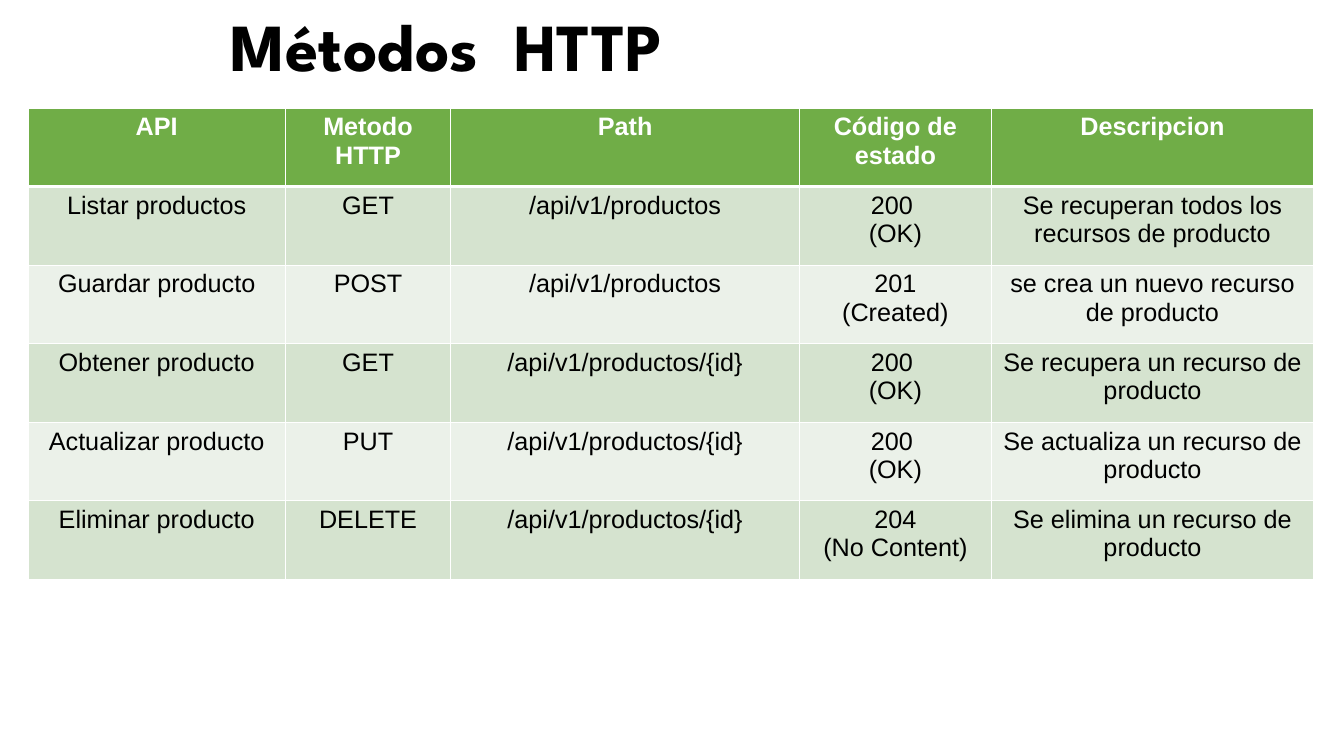
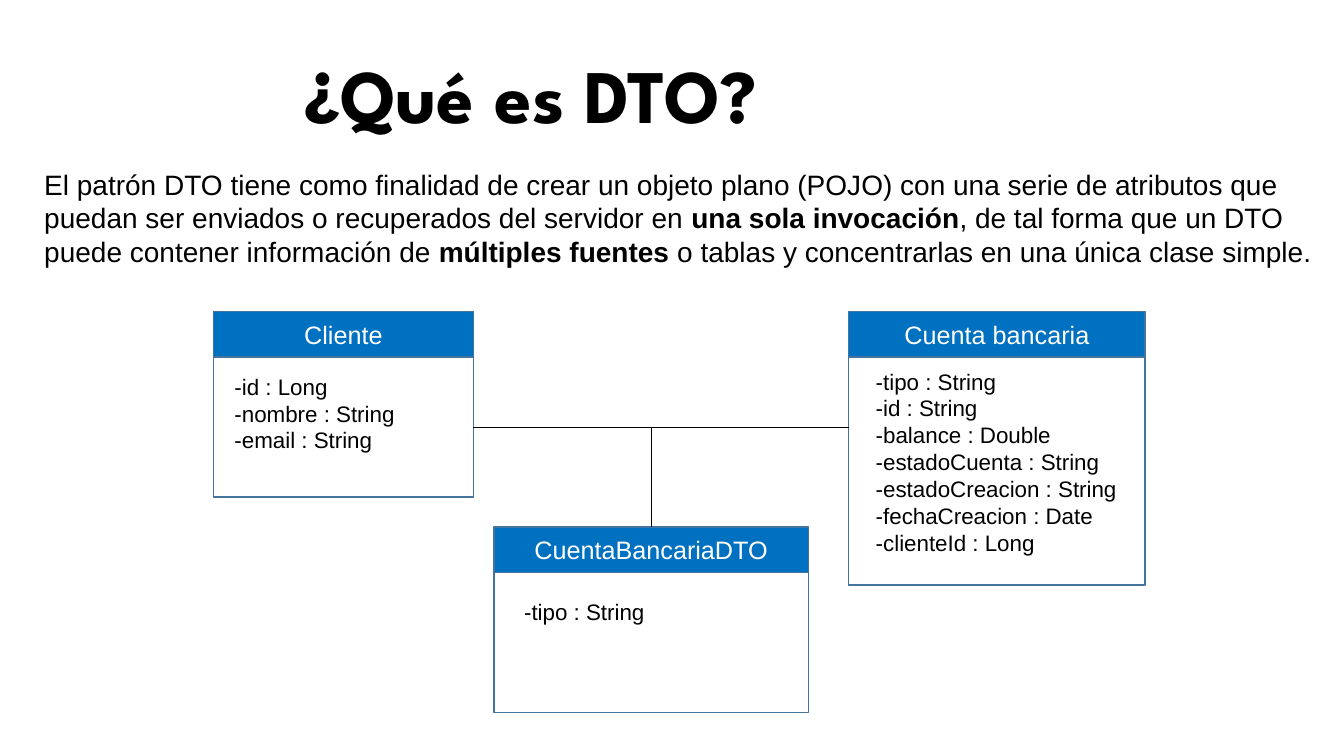
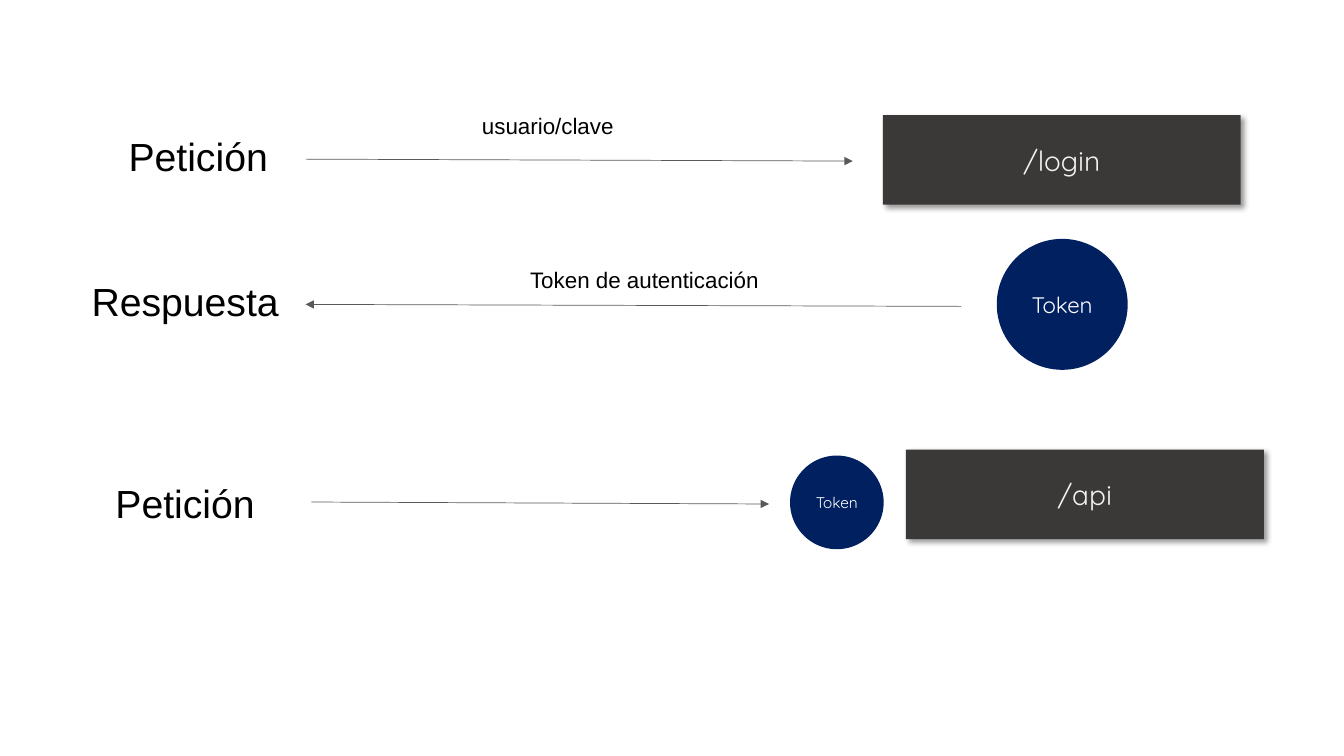
from lxml import etree
from pptx import Presentation
from pptx.dml.color import RGBColor
from pptx.enum.shapes import MSO_CONNECTOR, MSO_SHAPE
from pptx.enum.text import MSO_ANCHOR, MSO_AUTO_SIZE, PP_ALIGN
from pptx.oxml import parse_xml
from pptx.oxml.ns import nsdecls, qn
from pptx.util import Cm, Pt

RECT, OVAL = MSO_SHAPE.RECTANGLE, MSO_SHAPE.OVAL
STRAIGHT = MSO_CONNECTOR.STRAIGHT
TOP, MIDDLE = MSO_ANCHOR.TOP, MSO_ANCHOR.MIDDLE
LEFT, CENTER = PP_ALIGN.LEFT, PP_ALIGN.CENTER
FIXED = MSO_AUTO_SIZE.NONE

BLACK = RGBColor(0x00, 0x00, 0x00)
WHITE = RGBColor(0xFF, 0xFF, 0xFF)
PALE = RGBColor(0xF2, 0xF2, 0xF2)
GREEN = RGBColor(0x70, 0xAD, 0x47)
MINT = RGBColor(0xD5, 0xE3, 0xCF)
MIST = RGBColor(0xEB, 0xF1, 0xE9)
BLUE = RGBColor(0x00, 0x70, 0xC0)
STEEL = RGBColor(0x43, 0x73, 0x9E)
NAVY = RGBColor(0x00, 0x20, 0x60)
DARK = RGBColor(0x3B, 0x38, 0x38)
GRAY = RGBColor(0x59, 0x59, 0x59)
HEAD, BODY, ROUND = "League Spartan", "Arial", "Quicksand"


def put(slide, box, text="", size=16, color=BLACK, font=BODY, align=CENTER,
        kind=None, fill=None, line=None):
    place = [Cm(n) for n in box]
    if kind is None:
        shape = slide.shapes.add_textbox(*place)
    else:
        shape = slide.shapes.add_shape(kind, *place)
        shape.shadow.inherit = False
        if fill is None:
            shape.fill.background()
        else:
            shape.fill.solid()
            shape.fill.fore_color.rgb = fill
        if line is None:
            shape.line.fill.background()
        else:
            shape.line.color.rgb = line
            shape.line.width = Pt(1)
    frame = shape.text_frame
    frame.word_wrap = True
    frame.vertical_anchor = TOP if kind is None else MIDDLE
    frame.text = text
    for para in frame.paragraphs:
        para.alignment = align
        para.font.size = Pt(size)
        para.font.name = font
        para.font.color.rgb = color
    return shape


def link(slide, ends, color, arrow=False):
    wire = slide.shapes.add_connector(STRAIGHT, *[Cm(n) for n in ends])
    wire.line.color.rgb = color
    wire.line.width = Pt(0.5)
    if arrow:
        etree.SubElement(wire.line._get_or_add_ln(), qn("a:tailEnd"), type="triangle")
    etree.SubElement(wire._element.spPr, qn("a:effectLst"))


deck = Presentation()
deck.slide_width, deck.slide_height = Cm(33.87), Cm(19.05)

pages = []
for layout, text, size, box in (
    (5, "Métodos  HTTP", 48, (-3.73, -0.03, 29.97, 2.31)),
    (1, "¿Qué es DTO?", 54, (-2.46, 1.09, 31.67, 2.57)),
    (6, None, None, None),
):
    slide = deck.slides.add_slide(deck.slide_layouts[layout])
    pages.append(slide)
    if text:
        title = slide.shapes.title
        title.left, title.top, title.width, title.height = [Cm(n) for n in box]
        frame = title.text_frame
        frame.text = text
        frame.auto_size = FIXED
        frame.vertical_anchor = TOP
        para = frame.paragraphs[0]
        para.alignment = CENTER
        para.font.size = Pt(size)
        para.font.name = HEAD
        para.font.bold = True
        para.font.color.rgb = BLACK
verbs, dto, login = pages

rows = (
    ("API", "Metodo HTTP", "Path", "Código de estado", "Descripcion"),
    ("Listar productos", "GET", "/api/v1/productos", "200 \n(OK)",
     "Se recuperan todos los recursos de producto"),
    ("Guardar producto", "POST", "/api/v1/productos", "201\n(Created)",
     "se crea un nuevo recurso de producto"),
    ("Obtener producto", "GET", "/api/v1/productos/{id}", "200 \n(OK)",
     "Se recupera un recurso de producto"),
    ("Actualizar producto", "PUT", "/api/v1/productos/{id}", "200 \n(OK)",
     "Se actualiza un recurso de producto"),
    ("Eliminar producto", "DELETE", "/api/v1/productos/{id}", "204\n(No Content)",
     "Se elimina un recurso de producto"),
)
widths = (6.48, 4.17, 8.79, 4.83, 8.13)
tall = 1.98
grid = verbs.shapes.add_table(len(rows), len(widths), Cm(0.71), Cm(2.72),
                              Cm(sum(widths)), Cm(tall * len(rows))).table
for col, width in zip(grid.columns, widths):
    col.width = Cm(width)
for r, row in enumerate(rows):
    grid.rows[r].height = Cm(tall)
    thick = {0: "lnB", 1: "lnT"}.get(r)
    for c, text in enumerate(row):
        cell = grid.cell(r, c)
        props = cell._tc.get_or_add_tcPr()
        for side in ("lnL", "lnR", "lnT", "lnB"):
            width = Pt(3 if side == thick else 1)
            props.append(parse_xml(
                f'<a:{side} {nsdecls("a")} w="{width}"><a:solidFill>'
                f'<a:srgbClr val="{WHITE}"/></a:solidFill></a:{side}>'))
        cell.fill.solid()
        cell.fill.fore_color.rgb = GREEN if r == 0 else MINT if r % 2 else MIST
        cell.text = text
        for para in cell.text_frame.paragraphs:
            para.alignment = CENTER
            para.font.size = Pt(18)
            para.font.name = BODY
            para.font.bold = r == 0
            para.font.color.rgb = WHITE if r == 0 else BLACK

intro = dto.placeholders[1]
intro.left, intro.top, intro.width, intro.height = Cm(0.86), Cm(4.09), Cm(32.69), Cm(2.82)
intro.text_frame.auto_size = FIXED
para = intro.text_frame.paragraphs[0]
para.space_before = Pt(0)
para.font.size = Pt(20)
para.font.name = BODY
para.font.color.rgb = BLACK
props = para._p.get_or_add_pPr()
props.set("marL", "0")
props.set("indent", "0")
props.insert_element_before(parse_xml(f'<a:buNone {nsdecls("a")}/>'), "a:defRPr")
for text, bold in (
    ("El patrón DTO tiene como finalidad de crear un objeto plano (POJO) con una serie de "
     "atributos que puedan ser enviados o recuperados del servidor en ", False),
    ("una sola invocación", True),
    (", de tal forma que un DTO puede contener información de ", False),
    ("múltiples fuentes", True),
    (" o tablas y concentrarlas en una única clase simple.", False),
):
    run = para.add_run()
    run.text = text
    run.font.bold = bold

band = 1.15
for name, x, y, wide, high, inset, drop, fields in (
    ("Cliente", 5.38, 7.85, 6.55, 3.53, 0.28, 1.42,
     ("id : Long", "nombre : String", "email : String")),
    ("Cuenta bancaria", 21.39, 7.85, 7.47, 5.74, 0.43, 1.29,
     ("tipo : String", "id : String", "balance : Double", "estadoCuenta : String",
      "estadoCreacion : String", "fechaCreacion : Date", "clienteId : Long")),
    ("CuentaBancariaDTO", 12.45, 13.28, 7.92, 3.53, 0.51, 1.66, ("tipo : String",)),
):
    put(dto, (x, y, wide, band), name, 18, WHITE, kind=RECT, fill=BLUE, line=STEEL)
    put(dto, (x, y + band, wide, high), kind=RECT, line=STEEL)
    put(dto, (x + inset, y + drop, wide - inset, 0.26 + 0.68 * len(fields)),
        "\n".join("-" + field for field in fields), align=LEFT)
link(dto, (11.93, 10.77, 21.39, 10.77), BLACK)
link(dto, (16.41, 10.77, 16.41, 13.28), BLACK)

for text, x, y in (("/login", 22.25, 2.9), ("/api", 22.83, 11.33)):
    card = put(login, (x, y, 9.02, 2.26), text, 20, PALE, ROUND, kind=RECT, fill=DARK)
    card._element.spPr.find(qn("a:effectLst")).append(parse_xml(
        f'<a:outerShdw {nsdecls("a")} blurRad="{Pt(4)}" dist="{Pt(3)}" dir="2700000" '
        f'algn="tl" rotWithShape="0"><a:srgbClr val="{BLACK}"><a:alpha val="40000"/>'
        '</a:srgbClr></a:outerShdw>'))
for x, y, wide, size in ((25.12, 6.02, 3.3, 16), (19.91, 11.48, 2.36, 11)):
    put(login, (x, y, wide, wide), "Token", size, WHITE, ROUND, kind=OVAL, fill=NAVY)
for text, x, y, wide, size in (
    ("Petición", 2.29, 3.2, 5.41, 28),
    ("Respuesta", 1.96, 6.86, 5.41, 28),
    ("Petición", 1.96, 11.96, 5.41, 28),
    ("usuario/clave", 11.1, 2.69, 5.41, 16),
    ("Token de autenticación", 12.47, 6.58, 7.54, 16),
):
    put(login, (x, y, wide, 1.45), text, size)
for ends in (
    (7.7, 4.01, 21.49, 4.06),
    (24.23, 7.72, 7.7, 7.67),
    (7.85, 12.65, 19.38, 12.7),
):
    link(login, ends, GRAY, arrow=True)

deck.save("out.pptx")
